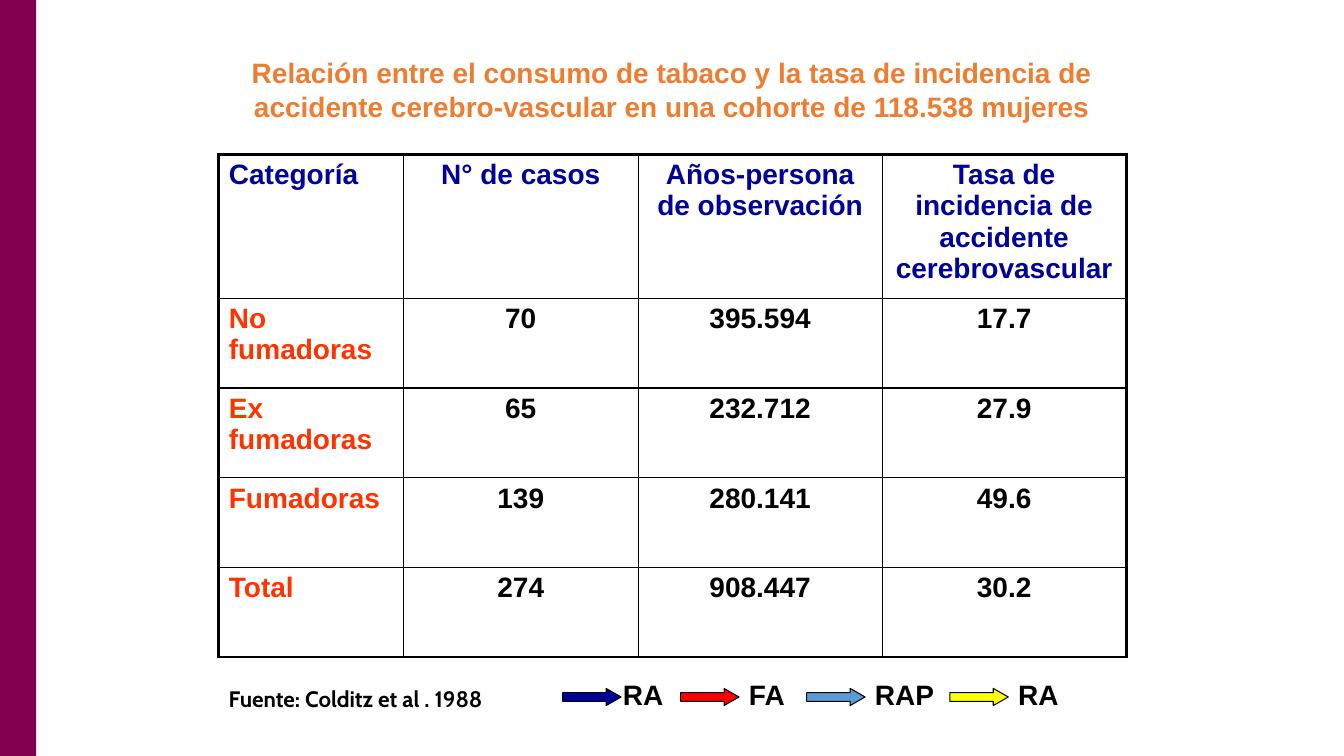
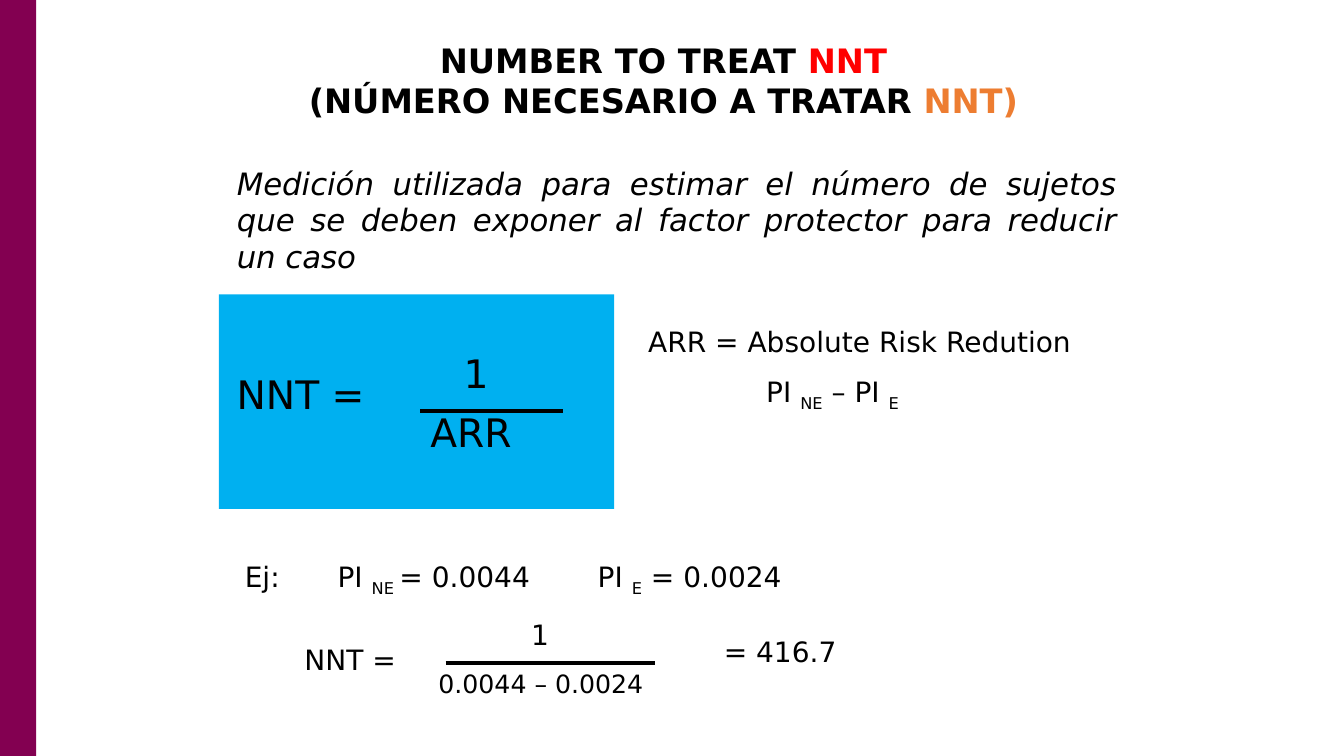
"""Builds two epidemiology slides: stroke incidence by smoking and number needed to treat."""
from lxml.etree import SubElement
from pptx import Presentation
from pptx.dml.color import RGBColor
from pptx.enum.shapes import MSO_CONNECTOR, MSO_SHAPE
from pptx.enum.text import MSO_ANCHOR, MSO_AUTO_SIZE, PP_ALIGN
from pptx.oxml.ns import qn
from pptx.util import Inches, Pt

BLACK = RGBColor(0x00, 0x00, 0x00)
PLUM = RGBColor(0x83, 0x00, 0x51)
ORANGE = RGBColor(0xED, 0x7D, 0x31)
NAVY = RGBColor(0x00, 0x00, 0x99)
VERMILION = RGBColor(0xFF, 0x33, 0x00)
RED = RGBColor(0xFF, 0x00, 0x00)
BLUE = RGBColor(0x5B, 0x9B, 0xD5)
YELLOW = RGBColor(0xFF, 0xFF, 0x00)
SKY = RGBColor(0x00, 0xB0, 0xF0)


def write(frame, text, size=20, font="Arial", color=BLACK, bold=False, italic=False,
          align=PP_ALIGN.LEFT, anchor=MSO_ANCHOR.TOP):
    """Writes a string, or a list of paragraphs made of (text, colour, subscript) runs."""
    frame.word_wrap = True
    frame.auto_size = MSO_AUTO_SIZE.NONE
    frame.vertical_anchor = anchor
    paragraphs = [[(text, color, False)]] if isinstance(text, str) else text
    for index, runs in enumerate(paragraphs):
        paragraph = frame.add_paragraph() if index else frame.paragraphs[0]
        paragraph.alignment = align
        for content, run_color, subscript in runs:
            run = paragraph.add_run()
            run.text = content
            run.font.size = Pt(size)
            run.font.name = font
            run.font.bold = bold
            run.font.italic = italic
            run.font.color.rgb = run_color
            if subscript:
                run._r.get_or_add_rPr().set("baseline", "-25000")


def add_filled(slide, kind, left, top, width, height, color):
    """Adds a preset shape with a plain fill, no outline and no shadow."""
    shape = slide.shapes.add_shape(kind, Inches(left), Inches(top), Inches(width), Inches(height))
    shape.shadow.inherit = False
    shape.fill.solid()
    shape.fill.fore_color.rgb = color
    shape.line.fill.background()
    return shape


presentation = Presentation()
presentation.slide_width = Inches(13.33)
presentation.slide_height = Inches(7.5)
title_layout = presentation.slide_layouts.get_by_name("Title Only")

table_slide = presentation.slides.add_slide(title_layout)
formula_slide = presentation.slides.add_slide(title_layout)

band = add_filled(table_slide, MSO_SHAPE.RECTANGLE, 0, 0, 0.36, 7.5, PLUM)
presentation.slide_master.shapes.element.insert(2, band.element)

titles = [
    (table_slide, (2.25, 0.5, 8.83, 0.77),
     "Relación entre el consumo de tabaco y la tasa de incidencia de "
     "accidente cerebro-vascular en una cohorte de 118.538 mujeres",
     {"color": ORANGE}),
    (formula_slide, (2, 0.33, 9.16, 0.93),
     [[("NUMBER TO TREAT ", BLACK, False), ("NNT", RED, False)],
      [("(NÚMERO NECESARIO A TRATAR ", BLACK, False), ("NNT)", ORANGE, False)]],
     {"size": 24, "font": "DejaVu Sans", "anchor": MSO_ANCHOR.MIDDLE}),
]
for slide, place, text, style in titles:
    title = slide.shapes.title
    title.left, title.top, title.width, title.height = map(Inches, place)
    write(title.text_frame, text, bold=True, align=PP_ALIGN.CENTER, **style)

rows = [
    ["Categoría", "N° de casos", "Años-persona de observación",
     "Tasa de incidencia de accidente cerebrovascular"],
    ["No fumadoras", "70", "395.594", "17.7"],
    ["Ex fumadoras", "65", "232.712", "27.9"],
    ["Fumadoras", "139", "280.141", "49.6"],
    ["Total", "274", "908.447", "30.2"],
]
column_widths = [1.83, 2.33, 2.42, 2.42]
row_heights = [1.43] + [0.89] * 4
table = table_slide.shapes.add_table(
    len(rows), len(column_widths), Inches(2.17), Inches(1.53),
    Inches(sum(column_widths)), Inches(sum(row_heights))).table
table.first_row = False
table.horz_banding = False
for column, width in zip(table.columns, column_widths):
    column.width = Inches(width)
for row, height in zip(table.rows, row_heights):
    row.height = Inches(height)

for row_index, row in enumerate(rows):
    for column_index, text in enumerate(row):
        cell = table.cell(row_index, column_index)
        color = NAVY if row_index == 0 else VERMILION if column_index == 0 else BLACK
        write(cell.text_frame, text, color=color, bold=True,
              align=PP_ALIGN.CENTER if column_index else PP_ALIGN.LEFT)
        outer_edges = {
            "a:lnL": column_index == 0,
            "a:lnR": column_index == len(row) - 1,
            "a:lnT": row_index == 0,
            "a:lnB": row_index == len(rows) - 1,
        }
        properties = cell._tc.get_or_add_tcPr()
        for tag, outer in outer_edges.items():
            border = SubElement(properties, qn(tag), w=str(Pt(2.25 if outer else 1)))
            fill = SubElement(border, qn("a:solidFill"))
            SubElement(fill, qn("a:srgbClr"), val=str(BLACK))
        cell.fill.background()

source_box = table_slide.shapes.add_textbox(Inches(2.17), Inches(6.75), Inches(3.08), Inches(0.37))
write(source_box.text_frame, "Fuente: Colditz et al . 1988", size=16, font="Cabin", bold=True)

legend = [
    (5.58, NAVY, 6.08, "RA"),
    (6.75, RED, 7.33, "FA"),
    (8, BLUE, 8.58, "RAP"),
    (9.42, YELLOW, 10, "RA"),
]
for arrow_left, color, label_left, text in legend:
    arrow = add_filled(table_slide, MSO_SHAPE.RIGHT_ARROW, arrow_left, 6.83, 0.58, 0.17, color)
    arrow.adjustments[1] = 0.875
    arrow.line.color.rgb = BLACK
    arrow.line.width = Pt(0.75)
    label = table_slide.shapes.add_textbox(Inches(label_left), Inches(6.67), Inches(0.9), Inches(0.43))
    write(label.text_frame, text, bold=True)

add_filled(formula_slide, MSO_SHAPE.RECTANGLE, 2.17, 2.92, 3.92, 2.13, SKY)

formula_texts = [
    (2.25, 1.58, 8.92, 1.21,
     "Medición utilizada para estimar el número de sujetos que se deben exponer "
     "al factor protector para reducir un caso",
     {"size": 22, "italic": True, "align": PP_ALIGN.JUSTIFY}),
    (2.25, 3.62, 1.9, 0.57, "NNT =", {"size": 28}),
    (4.5, 3.42, 0.83, 0.57, "1", {"size": 28}),
    (4.17, 4, 1.5, 0.57, "ARR", {"size": 28}),
    (6.33, 3.17, 5.33, 0.44, "ARR = Absolute Risk Redution", {}),
    (7.5, 3.67, 2.58, 0.44,
     [[("PI ", BLACK, False), ("NE", BLACK, True), (" – PI ", BLACK, False), ("E", BLACK, True)]], {}),
    (2.33, 5.5, 0.67, 0.44, "Ej:", {}),
    (3.25, 5.5, 2.5, 0.44,
     [[("PI ", BLACK, False), ("NE ", BLACK, True), ("= 0.0044", BLACK, False)]], {}),
    (5.83, 5.5, 2.5, 0.44,
     [[("PI ", BLACK, False), ("E", BLACK, True), (" = 0.0024", BLACK, False)]], {}),
    (2.92, 6.33, 1.25, 0.44, "NNT =", {}),
    (5.17, 6.08, 0.67, 0.44, "1", {}),
    (4.25, 6.58, 2.5, 0.4, "0.0044 – 0.0024", {"size": 18}),
    (7.08, 6.25, 2.08, 0.44, "= 416.7", {}),
]
for left, top, width, height, text, style in formula_texts:
    box = formula_slide.shapes.add_textbox(Inches(left), Inches(top), Inches(width), Inches(height))
    write(box.text_frame, text, font="DejaVu Sans", **style)

for start, end, height in [(4.17, 5.58, 4.08), (4.42, 6.5, 6.58)]:
    fraction_bar = formula_slide.shapes.add_connector(
        MSO_CONNECTOR.STRAIGHT, Inches(start), Inches(height), Inches(end), Inches(height))
    fraction_bar.line.color.rgb = BLACK
    fraction_bar.line.width = Pt(3)
    SubElement(fraction_bar.element.spPr, qn("a:effectLst"))

presentation.save("out.pptx")
